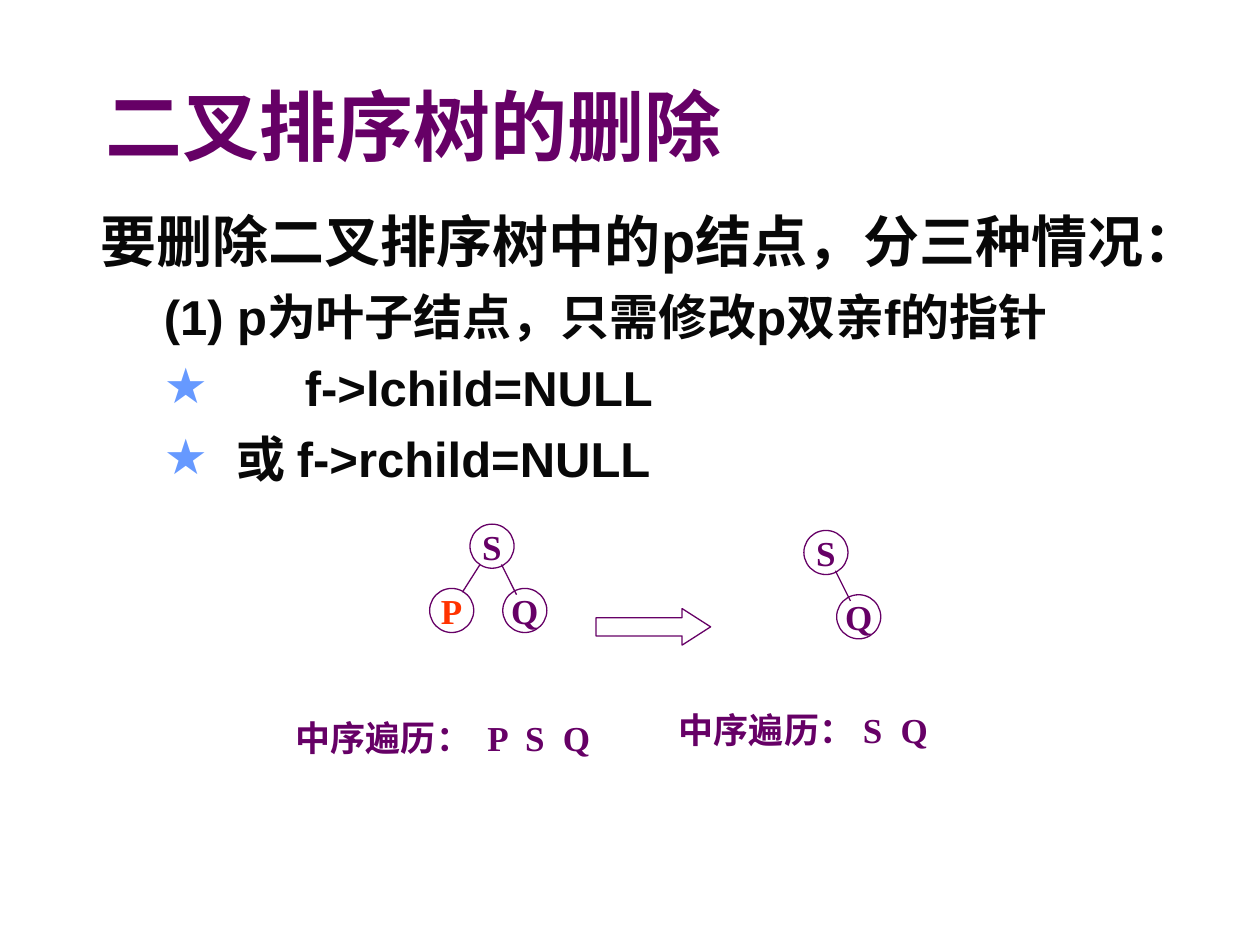
from lxml.etree import SubElement
from pptx import Presentation
from pptx.dml.color import RGBColor
from pptx.enum.shapes import MSO_CONNECTOR, MSO_SHAPE
from pptx.enum.text import MSO_ANCHOR, MSO_AUTO_SIZE, PP_ALIGN
from pptx.oxml.ns import qn
from pptx.util import Inches, Pt

COLORS = {"purple": "660066", "red": "FF3300", "ink": "080808", "star": "6699FF"}
NODE_SIZE = 0.35
# Child offsets and edge ends, all measured from the root's top left corner
LEFT_CHILD = {"offset": (-0.32, 0.51), "edge": ((0.08, 0.32), (-0.06, 0.54))}
RIGHT_CHILD = {"offset": (0.26, 0.51), "edge": ((0.25, 0.32), (0.37, 0.56))}


def color(name):
    return RGBColor.from_string(COLORS[name])


class SlideBuilder:
    serif = "Times New Roman"
    line_width = Pt(0.75)

    def __init__(self, page):
        self.page = page

    def place(self, shape, left, top, width, height):
        shape.left, shape.top = Inches(left), Inches(top)
        shape.width, shape.height = Inches(width), Inches(height)

    def add_span(self, para, text, size, font, ink):
        span = para.add_run()
        span.text = text
        span.font.size, span.font.name, span.font.bold = Pt(size), font, True
        span.font.color.rgb = color(ink)

    def title(self, text, *area):
        box = self.page.shapes.title
        self.place(box, *area)
        frame = box.text_frame
        frame.auto_size = MSO_AUTO_SIZE.NONE
        frame.vertical_anchor = MSO_ANCHOR.MIDDLE
        para = frame.paragraphs[0]
        para.alignment = PP_ALIGN.LEFT
        self.add_span(para, text, 44, "Roboto Condensed", "purple")

    def body(self, items, *area):
        box = self.page.placeholders[1]
        self.place(box, *area)
        frame = box.text_frame
        frame.auto_size = MSO_AUTO_SIZE.NONE
        for index, (text, level, size, margin, hanging, star) in enumerate(items):
            para = frame.paragraphs[0] if index == 0 else frame.add_paragraph()
            para.level = level
            para.space_before = Pt(7 if index else 0)
            self.bullet(para, margin, hanging, star)
            self.add_span(para, text, size, "Arial", "ink")

    def bullet(self, para, margin, hanging, star):
        props = para._p.get_or_add_pPr()
        props.set("marL", str(Inches(margin)))
        props.set("indent", str(-Inches(hanging)))
        if star:
            tint = SubElement(props, qn("a:buClr"))
            SubElement(tint, qn("a:srgbClr"), val=COLORS["star"])
            SubElement(props, qn("a:buChar"), char="★")
        else:
            SubElement(props, qn("a:buNone"))

    def outline(self, kind, left, top, width, height):
        shape = self.page.shapes.add_shape(
            kind, Inches(left), Inches(top), Inches(width), Inches(height))
        shape.shadow.inherit = False
        shape.fill.background()
        shape.line.color.rgb = color("purple")
        shape.line.width = self.line_width
        return shape

    def node(self, label, left, top, ink="purple"):
        circle = self.outline(MSO_SHAPE.OVAL, left, top, NODE_SIZE, NODE_SIZE)
        frame = circle.text_frame
        frame.word_wrap = False
        frame.vertical_anchor = MSO_ANCHOR.MIDDLE
        para = frame.paragraphs[0]
        para.alignment = PP_ALIGN.CENTER
        self.add_span(para, label, 20, self.serif, ink)

    def edge(self, start, end):
        line = self.page.shapes.add_connector(
            MSO_CONNECTOR.STRAIGHT, *(Inches(value) for value in start + end))
        line.line.color.rgb = color("purple")
        line.line.width = self.line_width
        SubElement(line._element.spPr, qn("a:effectLst"))

    def tree(self, root, left, top, children):
        self.node(root, left, top)
        for label, side, ink in children:
            dx, dy = side["offset"]
            self.node(label, left + dx, top + dy, ink)
        for _, side, _ in children:
            self.edge(*((left + dx, top + dy) for dx, dy in side["edge"]))

    def arrow(self, *area):
        shape = self.outline(MSO_SHAPE.RIGHT_ARROW, *area)
        shape.adjustments[0], shape.adjustments[1] = 0.5, 0.78

    def caption(self, heading, letters, first_stop, *area):
        box = self.page.shapes.add_textbox(*(Inches(value) for value in area))
        frame = box.text_frame
        frame.word_wrap = True
        frame.margin_right = 0
        frame.vertical_anchor = MSO_ANCHOR.MIDDLE
        para = frame.paragraphs[0]
        stops = SubElement(para._p.get_or_add_pPr(), qn("a:tabLst"))
        for index in range(len(letters)):
            stop = Inches(first_stop + 0.3 * index)
            SubElement(stops, qn("a:tab"), pos=str(stop), algn="l")
        self.add_span(para, "\t".join([heading, *letters]), 20, self.serif, "purple")


def main():
    deck = Presentation()
    deck.slide_width, deck.slide_height = Inches(10), Inches(7.5)
    builder = SlideBuilder(deck.slides.add_slide(deck.slide_layouts[1]))

    # Title and list: text, level, size, left margin, hanging indent, star
    builder.title("二叉排序树的删除", 0.74, 0.54, 8.5, 0.9)
    builder.body([
        ("要删除二叉排序树中的p结点，分三种情况：", 0, 32, 0.67, 0.67, False),
        ("(1) p为叶子结点，只需修改p双亲f的指针", 1, 28, 1.08, 0.58, False),
        ("f->lchild=NULL", 1, 28, 1.62, 1.12, True),
        ("或 f->rchild=NULL", 1, 28, 1.08, 0.58, True),
    ], 0.7, 1.59, 9.3, 5.91)

    # Trees before and after the deletion
    builder.tree("S", 3.73, 4.16, [("P", LEFT_CHILD, "red"), ("Q", RIGHT_CHILD, "purple")])
    builder.arrow(4.73, 4.83, 0.91, 0.29)
    builder.tree("S", 6.38, 4.21, [("Q", RIGHT_CHILD, "purple")])

    # Inorder sequences
    builder.caption("中序遍历：", "PSQ", 1.52, 2.25, 5.63, 2.54, 0.44)
    builder.caption("中序遍历：", "SQ", 1.46, 5.29, 5.57, 2.17, 0.44)

    deck.save("out.pptx")


if __name__ == "__main__":
    main()
